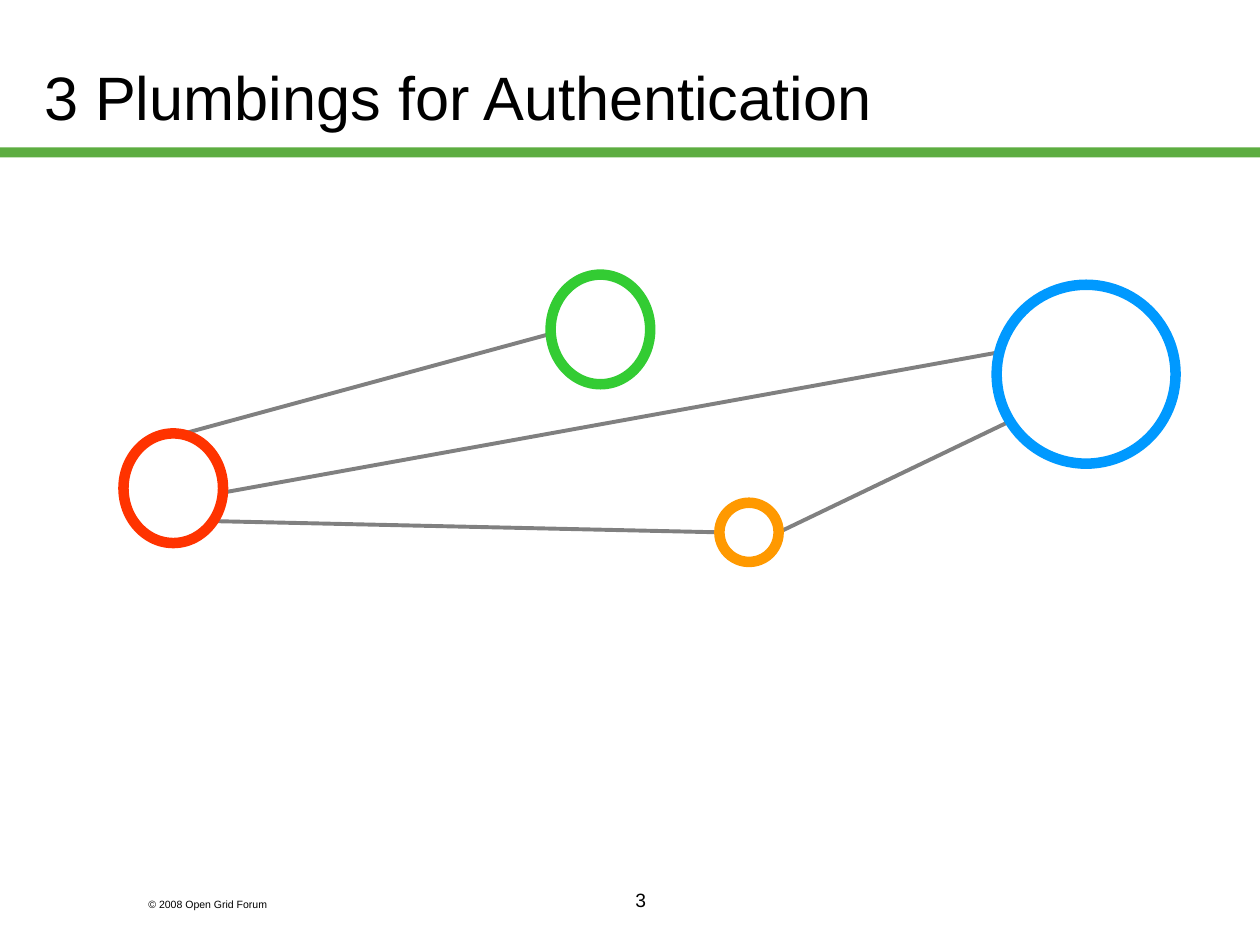
from dataclasses import dataclass

from lxml import etree
from pptx import Presentation
from pptx.dml.color import RGBColor
from pptx.enum import shapes, text
from pptx.oxml import ns
from pptx.util import Inches, Pt


@dataclass(frozen=True)
class Theme:
    font: str = "Arial"
    ink: str = "000000"
    paper: str = "FFFFFF"
    rule: str = "5DAD41"
    link: str = "808080"
    red: str = "FF3300"
    blue: str = "0099FF"
    green: str = "33CC33"
    orange: str = "FF9900"
    title_size: float = 35
    number_size: float = 11
    copyright_size: float = 6
    link_width: float = 2.25
    ring_width: float = 6


THEME = Theme()

# Left, top, width, height and colour, relative to the diagram.
NODES = {
    "red": (0, 1.26, 0.79, 0.87, THEME.red),
    "blue": (6.93, 0.08, 1.42, 1.42, THEME.blue),
    "green": (3.39, 0, 0.79, 0.87, THEME.green),
    "orange": (4.73, 1.81, 0.47, 0.47, THEME.orange),
}

# Each end is a node and a point on it, as fractions of its width and height.
LINKS = [
    (("orange", 1, 0.5), ("blue", 0.06, 0.77)),
    (("red", 0.9, 0.8), ("orange", 0, 0.5)),
    (("red", 1, 0.54), ("blue", 0, 0.38)),
    (("red", 0.61, 0), ("green", 0, 0.54)),
]


def color(value):
    return RGBColor.from_string(value)


def add_text(page, box, words, size, align=text.PP_ALIGN.LEFT,
             anchor=text.MSO_ANCHOR.TOP, inset=0.1):
    frame = page.shapes.add_textbox(*map(Inches, box)).text_frame
    frame.word_wrap = True
    frame.vertical_anchor = anchor
    frame.margin_left = frame.margin_right = Inches(inset)
    para = frame.paragraphs[0]
    para.text = words
    para.alignment = align
    para.font.name = THEME.font
    para.font.size = Pt(size)
    para.font.color.rgb = color(THEME.ink)


def add_filled(page, kind, box, fill):
    shape = page.shapes.add_shape(kind, *map(Inches, box))
    shape.shadow.inherit = False
    shape.fill.solid()
    shape.fill.fore_color.rgb = color(fill)
    shape.line.fill.background()
    return shape


def add_header(page, box):
    """Title above a green rule that spans the box."""
    left, top, width, height = box
    rule_height = 0.08
    add_filled(page, shapes.MSO_SHAPE.RECTANGLE,
               (left, top + height - rule_height, width, rule_height), THEME.rule)
    add_text(page, (left + 0.27, top + 0.3, 9.45, 0.93),
             "3 Plumbings for Authentication", THEME.title_size,
             anchor=text.MSO_ANCHOR.MIDDLE, inset=0.08)


def add_link(page, start, end):
    line = page.shapes.add_connector(
        shapes.MSO_CONNECTOR.STRAIGHT, *map(Inches, (*start, *end)))
    line.line.color.rgb = color(THEME.link)
    line.line.width = Pt(THEME.link_width)
    etree.SubElement(line._element.spPr, ns.qn("a:effectLst"))


def add_diagram(page, box):
    """Four rings joined by lines that run behind them."""
    left, top = box[:2]

    def point(name, across, down):
        x, y, width, height, _ = NODES[name]
        return left + x + across * width, top + y + down * height

    for start, end in LINKS:
        add_link(page, point(*start), point(*end))
    for x, y, width, height, ring_color in NODES.values():
        ring = add_filled(page, shapes.MSO_SHAPE.OVAL,
                          (left + x, top + y, width, height), THEME.paper)
        ring.line.color.rgb = color(ring_color)
        ring.line.width = Pt(THEME.ring_width)


def add_footer(page, box):
    left, top = box[:2]
    add_text(page, (left + 1.08, top + 0.08, 1.5, 0.2),
             "© 2008 Open Grid Forum", THEME.copyright_size)
    add_text(page, (left + 2.17, top, 5.83, 0.5), "3", THEME.number_size,
             align=text.PP_ALIGN.CENTER)


def main():
    deck = Presentation()
    deck.slide_width, deck.slide_height = Inches(10), Inches(7.5)
    page = deck.slides.add_slide(deck.slide_layouts[6])
    add_header(page, (0, 0, 10, 1.25))
    add_diagram(page, (0.98, 2.18, 8.35, 2.28))
    add_footer(page, (0, 7, 10, 0.5))
    deck.save("out.pptx")


if __name__ == "__main__":
    main()
